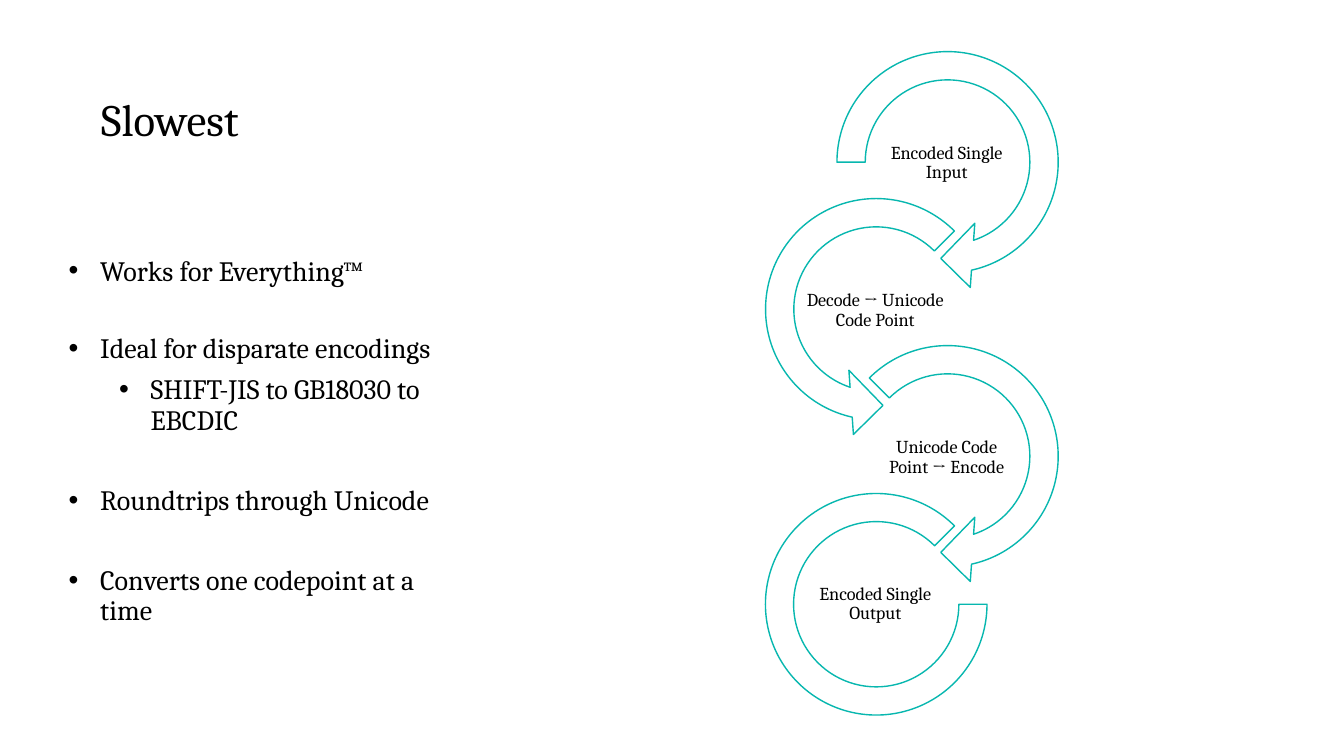
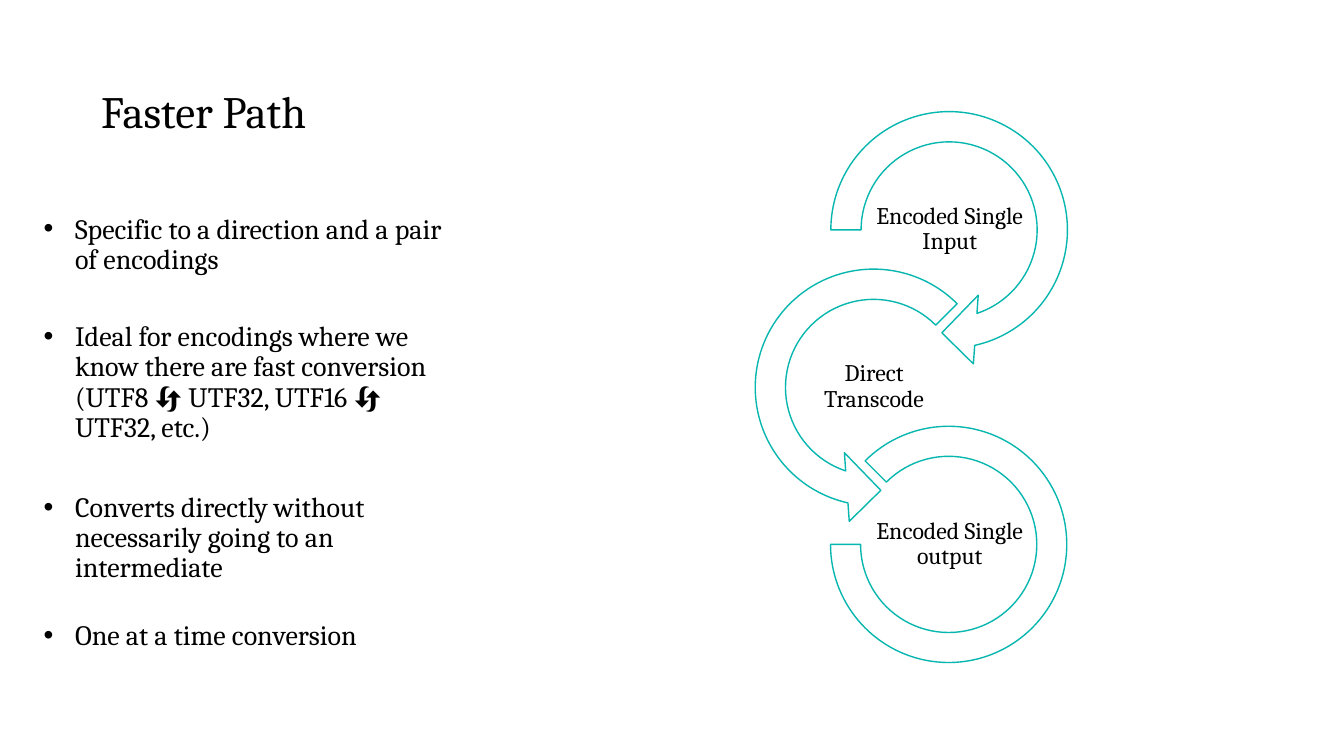
from lxml import etree
from pptx import Presentation
from pptx import util as u
from pptx.dml.color import RGBColor
from pptx.enum import shapes, text
from pptx.oxml import ns

EMU_PER_PX = 9525


def px(length):
    return u.Emu(round(length) * EMU_PER_PX)


def color(hex_string):
    return RGBColor.from_string(hex_string)


class Deck:
    FONT = "Cambria"
    INK, PAPER, TEAL = "000000", "FFFFFF", "07B7AF"
    LINE_SPACING = 0.9
    BULLET_INDENT, LEVEL_INDENT = 30, 48
    ARROW_BODY, ARROW_HEAD = 0.11, 11.423
    ARC_BODY = 0.127
    # Angles in units of 100000/60000 degree.
    ANGLE_LEFT, ANGLE_RIGHT = 108, 0
    ANGLE_UPPER_LEFT, ANGLE_UPPER_RIGHT = 135, 189
    ANGLE_LOWER_RIGHT, ANGLE_LOWER_LEFT = 45, 63

    def __init__(self):
        self.file = Presentation()
        self.file.slide_width, self.file.slide_height = px(1280), px(720)
        self.slide = None

    def add_slide(self):
        self.slide = self.file.slides.add_slide(self.file.slide_layouts[6])

    def text_box(self, left, top, width, height, **frame_format):
        box = self.slide.shapes.add_textbox(px(left), px(top), px(width), px(height))
        frame = box.text_frame
        for name, value in {"word_wrap": True, **frame_format}.items():
            setattr(frame, name, value)
        return frame

    def fill_para(self, para, words, size, **para_format):
        for name, value in {"line_spacing": self.LINE_SPACING, **para_format}.items():
            setattr(para, name, value)
        span = para.add_run()
        span.text = words
        for name, value in {"name": self.FONT, "size": u.Pt(size)}.items():
            setattr(span.font, name, value)
        span.font.color.rgb = color(self.INK)

    def title(self, words, height):
        frame = self.text_box(87, 80, 344, height,
                              vertical_anchor=text.MSO_ANCHOR.BOTTOM)
        self.fill_para(frame.paragraphs[0], words, 32)

    def bullets(self, left, top, width, height, items):
        """Add items of (level, space before in points, words)."""
        frame = self.text_box(left, top, width, height)
        for number, (level, space, words) in enumerate(items):
            para = frame.add_paragraph() if number else frame.paragraphs[0]
            properties = para._p.get_or_add_pPr()
            margin = self.BULLET_INDENT + level * self.LEVEL_INDENT
            properties.set("marL", str(px(margin)))
            properties.set("indent", str(px(-self.BULLET_INDENT)))
            for tag, key, value in (("a:buFont", "typeface", "Arial"),
                                    ("a:buChar", "char", "•")):
                etree.SubElement(properties, ns.qn(tag)).set(key, value)
            self.fill_para(para, words, 20, level=level, space_before=u.Pt(space))

    def ring(self, kind, center_x, center_y, size, adjustments):
        shape = self.slide.shapes.add_shape(
            kind, px(center_x - size / 2), px(center_y - size / 2), px(size), px(size))
        for number, value in enumerate(adjustments):
            shape.adjustments[number] = value
        shape.shadow.inherit = False
        shape.fill.solid()
        shape.fill.fore_color.rgb = color(self.PAPER)
        shape.line.color.rgb = color(self.TEAL)
        shape.line.width = u.Pt(1)

    def label(self, center_x, center_y, width, words, size):
        height = width / 2
        margins = {f"margin_{side}": px(1) for side in ("left", "top", "right", "bottom")}
        frame = self.text_box(center_x - width / 2, center_y - height / 2, width, height,
                              vertical_anchor=text.MSO_ANCHOR.MIDDLE, **margins)
        self.fill_para(frame.paragraphs[0], words, size, alignment=text.PP_ALIGN.CENTER)

    def arrow_chain(self, columns, top_center, step, size, label_size, steps):
        """Wind arrows down two columns (right, left), ending in a plain arc."""
        kinds = shapes.MSO_SHAPE
        for number, words in enumerate(steps):
            on_left = number % 2
            center_x, center_y = columns[on_left], top_center + number * step
            start = self.ANGLE_UPPER_RIGHT if on_left else self.ANGLE_UPPER_LEFT
            if number == len(steps) - 1:
                ends = (self.ANGLE_RIGHT, start) if on_left else (start, self.ANGLE_LEFT)
                self.ring(kinds.BLOCK_ARC, center_x, center_y, size * 0.86,
                          (*ends, self.ARC_BODY))
            else:
                if number == 0:
                    start = self.ANGLE_LEFT
                kind = kinds.LEFT_CIRCULAR_ARROW if on_left else kinds.CIRCULAR_ARROW
                end = self.ANGLE_LOWER_LEFT if on_left else self.ANGLE_LOWER_RIGHT
                self.ring(kind, center_x, center_y, size,
                          (self.ARROW_BODY, self.ARROW_HEAD, end, start, 0.125))
            self.label(center_x, center_y, size * 0.56, words, label_size)


def main():
    deck = Deck()

    deck.add_slide()
    deck.title("Slowest", 64)
    deck.bullets(56, 240, 376, 424, [
        (0, 0, "Works for Everything™"),
        (0, 33.6, "Ideal for disparate encodings"),
        (1, 8, "SHIFT-JIS to GB18030 to EBCDIC"),
        (0, 35.6, "Roundtrips through Unicode"),
        (0, 35.6, "Converts one codepoint at a time"),
    ])
    deck.arrow_chain((902, 834), 155, 140, 245, 13, [
        "Encoded Single Input",
        "Decode → Unicode Code Point",
        "Unicode Code Point → Encode",
        "Encoded Single Output",
    ])

    deck.add_slide()
    deck.title("Faster Path", 56)
    deck.bullets(32, 200, 400, 488, [
        (0, 0, "Specific to a direction and a pair of encodings"),
        (0, 33.6, "Ideal for encodings where we know there are fast conversion "
                  "(UTF8 🔄 UTF32, UTF16 🔄 UTF32, etc.)"),
        (0, 35.6, "Converts directly without necessarily going to an intermediate"),
        (0, 27, "One at a time conversion"),
    ])
    deck.arrow_chain((904, 832), 219, 150, 262, 17, [
        "Encoded Single Input",
        "Direct Transcode",
        "Encoded Single output",
    ])

    deck.file.save("out.pptx")


if __name__ == "__main__":
    main()
